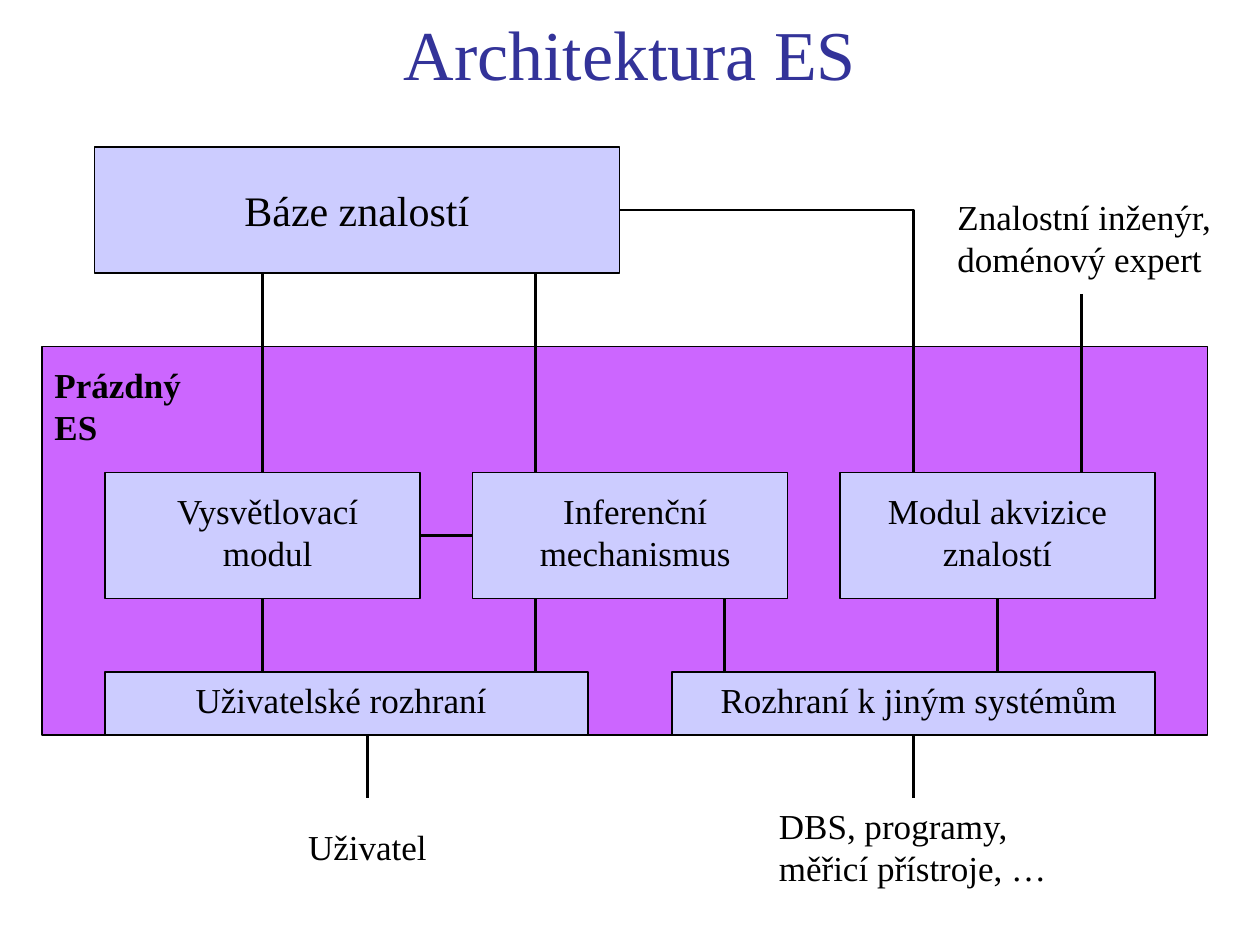
"""Build the slide showing the architecture of an expert system."""
from lxml import etree
from pptx import Presentation
from pptx import util as u
from pptx.dml.color import RGBColor
from pptx.enum import shapes, text
from pptx.oxml.ns import qn

CELL = u.Inches(10) // 120
BLACK, LILAC, PURPLE, NAVY = "000000", "CCCCFF", "CC66FF", "333399"
LEFT, CENTER = text.PP_ALIGN.LEFT, text.PP_ALIGN.CENTER


def paint(color_format, color):
    color_format.rgb = RGBColor.from_string(color)


def write(box, lines, size, align, color=BLACK, bold=False):
    frame = box.text_frame
    frame.text = lines
    for para in frame.paragraphs:
        para.alignment = align
        for span in para.runs:
            span.font.name, span.font.size, span.font.bold = "Times New Roman", u.Pt(size), bold
            paint(span.font.color, color)


deck = Presentation()
deck.slide_width, deck.slide_height = 120 * CELL, 90 * CELL
page = deck.slides.add_slide(deck.slide_layouts[5])

title = page.shapes.title
title.left, title.top, title.width, title.height = [n * CELL for n in (3, 2, 114, 6)]
write(title, "Architektura ES", 40, CENTER, NAVY)
title.text_frame.vertical_anchor = text.MSO_ANCHOR.MIDDLE
title.text_frame.auto_size = text.MSO_AUTO_SIZE.NONE

blocks = [
    (4, 33, 111, 37, PURPLE),
    (9, 14, 50, 12, LILAC),
    *[(column, 45, 30, 12, LILAC) for column in (10, 45, 80)],
    *[(column, 64, 46, 6, LILAC) for column in (10, 64)],
]
for *place, color in blocks:
    block = page.shapes.add_shape(shapes.MSO_SHAPE.RECTANGLE, *[n * CELL for n in place])
    block.shadow.inherit = False
    block.fill.solid()
    paint(block.fill.fore_color, color)
    paint(block.line.color, BLACK)
    block.line.width = u.Pt(0.75)

straight, elbow = shapes.MSO_CONNECTOR.STRAIGHT, shapes.MSO_CONNECTOR.ELBOW
links = [
    *[(straight, column, 26, column, 45) for column in (25, 51)],
    *[(straight, column, 57, column, 64) for column in (25, 51, 69, 95)],
    *[(straight, column, 70, column, 76) for column in (35, 87)],
    (straight, 103, 28, 103, 45),
    (straight, 40, 51, 45, 51),
    (elbow, 87, 45, 59, 20),
]
for kind, *ends in links:
    link = page.shapes.add_connector(kind, *[n * CELL for n in ends])
    paint(link.line.color, BLACK)
    link.line.width = u.Pt(1.5)
    properties = link._element.spPr
    etree.SubElement(properties, qn("a:effectLst"))
    if kind == elbow:
        guides = properties.find(qn("a:prstGeom")).get_or_add_avLst()
        etree.SubElement(guides, qn("a:gd"), name="adj1", fmla="val 0")

labels = [
    ("Prázdný ES", 4, 34, 19.3, 5.3, 20, LEFT),
    ("Báze znalostí", 10, 17, 48, 6, 24, CENTER),
    ("Vysvětlovací\nmodul", 14, 46, 23, 9.2, 20, CENTER),
    ("Inferenční\nmechanismus", 49, 46, 23, 9.2, 20, CENTER),
    ("Modul akvizice\nznalostí", 81, 46, 28, 9.2, 20, CENTER),
    ("Uživatelské rozhraní", 15, 64, 35, 5.3, 20, CENTER),
    ("Rozhraní k jiným systémům", 65, 64, 45, 5.3, 20, CENTER),
    ("Uživatel", 26, 78, 18, 5.3, 20, CENTER),
    ("Znalostní inženýr, doménový expert", 90, 18, 28, 9.2, 20, LEFT),
    ("DBS, programy, měřicí přístroje, …", 73, 76, 29, 9.2, 20, LEFT),
]
for lines, *place, size, align in labels:
    heading = lines == "Prázdný ES"
    box = page.shapes.add_textbox(*[round(n * CELL) for n in place])
    box.text_frame.word_wrap = not heading
    box.text_frame.auto_size = text.MSO_AUTO_SIZE.SHAPE_TO_FIT_TEXT
    write(box, lines, size, align, bold=heading)

deck.save("out.pptx")
